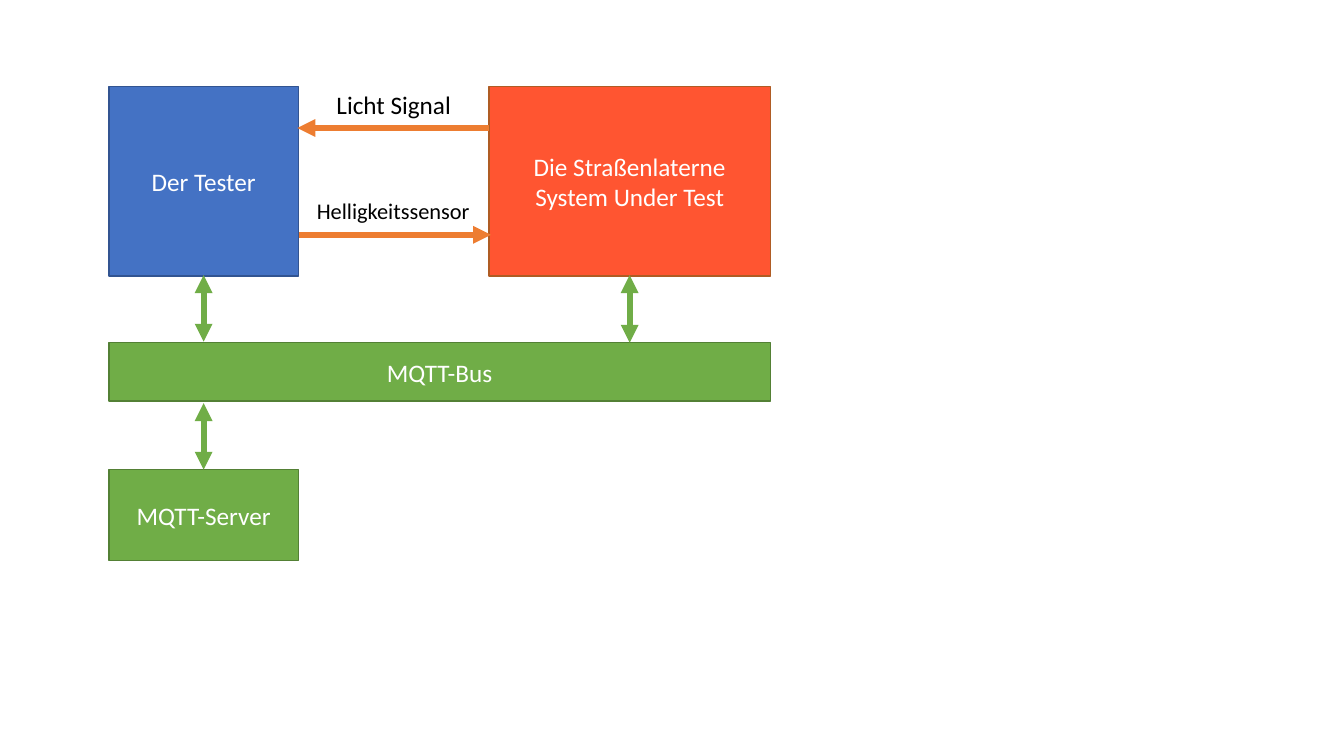
from dataclasses import dataclass

import lxml.etree
import pptx
import pptx.dml.color
import pptx.enum.shapes
import pptx.enum.text
import pptx.oxml.ns
import pptx.slide
import pptx.text.text
import pptx.util

Inches = pptx.util.Inches
GREEN = "70AD47"
DARK_GREEN = "538035"
ORANGE = "ED7D31"
LEFT = 1.08
TOP = 0.86
TESTER_WIDTH = 1.88
TESTER_CENTER = LEFT + TESTER_WIDTH / 2
LANTERN_LEFT = 4.85
LANTERN_WIDTH = 2.79
LANTERN_CENTER = LANTERN_LEFT + LANTERN_WIDTH / 2
BLOCK_BOTTOM = 2.73


@dataclass
class Block:
    lines: list[str]
    left: float
    top: float
    width: float
    height: float
    fill: str
    border: str


@dataclass
class Label:
    text: str
    left: float
    top: float
    width: float
    height: float
    size: int


@dataclass
class Arrow:
    start: tuple[float, float]
    end: tuple[float, float]
    color: str
    ends: tuple[str, ...]


BLOCKS = [
    Block(["Der Tester"], LEFT, TOP, TESTER_WIDTH, 1.88, "4472C4", "325491"),
    Block(["Die Straßenlaterne", "System Under Test"],
          LANTERN_LEFT, TOP, LANTERN_WIDTH, 1.88, "FF5531", "AF5C24"),
    Block(["MQTT-Bus"], LEFT, 3.4, LANTERN_LEFT + LANTERN_WIDTH - LEFT, 0.58,
          GREEN, DARK_GREEN),
    Block(["MQTT-Server"], LEFT, 4.66, TESTER_WIDTH, 0.9, GREEN, DARK_GREEN),
]
BOTH_ENDS = ("headEnd", "tailEnd")
ARROWS = [
    Arrow((TESTER_CENTER, BLOCK_BOTTOM), (TESTER_CENTER, 3.39), GREEN, BOTH_ENDS),
    Arrow((LANTERN_CENTER, BLOCK_BOTTOM), (LANTERN_CENTER, 3.4), GREEN, BOTH_ENDS),
    Arrow((TESTER_CENTER, 4), (TESTER_CENTER, 4.66), GREEN, BOTH_ENDS),
    Arrow((2.95, 1.27), (4.85, 1.27), ORANGE, ("headEnd",)),
    Arrow((2.97, 2.33), (4.87, 2.33), ORANGE, ("tailEnd",)),
]
LABELS = [
    Label("Licht Signal", 2.97, 0.84, 1.87, 0.4, 18),
    Label("Helligkeitssensor", 2.95, 1.91, 1.9, 0.37, 16),
]


def rgb(color: str) -> pptx.dml.color.RGBColor:
    return pptx.dml.color.RGBColor.from_string(color)


def write_lines(frame: pptx.text.text.TextFrame, lines: list[str], size: int, color: str) -> None:
    frame.word_wrap = True
    font_format = {"name": "Calibri", "size": pptx.util.Pt(size)}
    for index, line in enumerate(lines):
        para = frame.add_paragraph() if index else frame.paragraphs[0]
        para.alignment = pptx.enum.text.PP_ALIGN.CENTER
        span = para.add_run()
        span.text = line
        for name, value in font_format.items():
            setattr(span.font, name, value)
        span.font.color.rgb = rgb(color)


def draw_block(page: pptx.slide.Slide, block: Block) -> None:
    box = page.shapes.add_shape(
        pptx.enum.shapes.MSO_SHAPE.RECTANGLE,
        Inches(block.left), Inches(block.top), Inches(block.width), Inches(block.height))
    box.shadow.inherit = False
    box.fill.solid()
    box.fill.fore_color.rgb = rgb(block.fill)
    box.line.color.rgb = rgb(block.border)
    box.line.width = pptx.util.Pt(1)
    box.text_frame.vertical_anchor = pptx.enum.text.MSO_ANCHOR.MIDDLE
    write_lines(box.text_frame, block.lines, 18, "FFFFFF")


def draw_arrow(page: pptx.slide.Slide, arrow: Arrow) -> None:
    connector = page.shapes.add_connector(
        pptx.enum.shapes.MSO_CONNECTOR.STRAIGHT,
        *(Inches(value) for value in arrow.start + arrow.end))
    connector.line.color.rgb = rgb(arrow.color)
    connector.line.width = pptx.util.Pt(4.25)
    outline = connector.line._get_or_add_ln()
    for end in arrow.ends:
        lxml.etree.SubElement(outline, pptx.oxml.ns.qn(f"a:{end}"), type="triangle")
    properties = connector._element.spPr
    lxml.etree.SubElement(properties, pptx.oxml.ns.qn("a:effectLst"))


def draw_label(page: pptx.slide.Slide, label: Label) -> None:
    box = page.shapes.add_textbox(
        Inches(label.left), Inches(label.top), Inches(label.width), Inches(label.height))
    write_lines(box.text_frame, [label.text], label.size, "000000")
    box.text_frame.auto_size = pptx.enum.text.MSO_AUTO_SIZE.SHAPE_TO_FIT_TEXT


def main() -> None:
    deck = pptx.Presentation()
    deck.slide_width = Inches(13.33)
    deck.slide_height = Inches(7.5)
    page = deck.slides.add_slide(deck.slide_layouts[6])
    for block in BLOCKS:
        draw_block(page, block)
    for arrow in ARROWS:
        draw_arrow(page, arrow)
    for label in LABELS:
        draw_label(page, label)
    deck.save("out.pptx")


if __name__ == "__main__":
    main()
